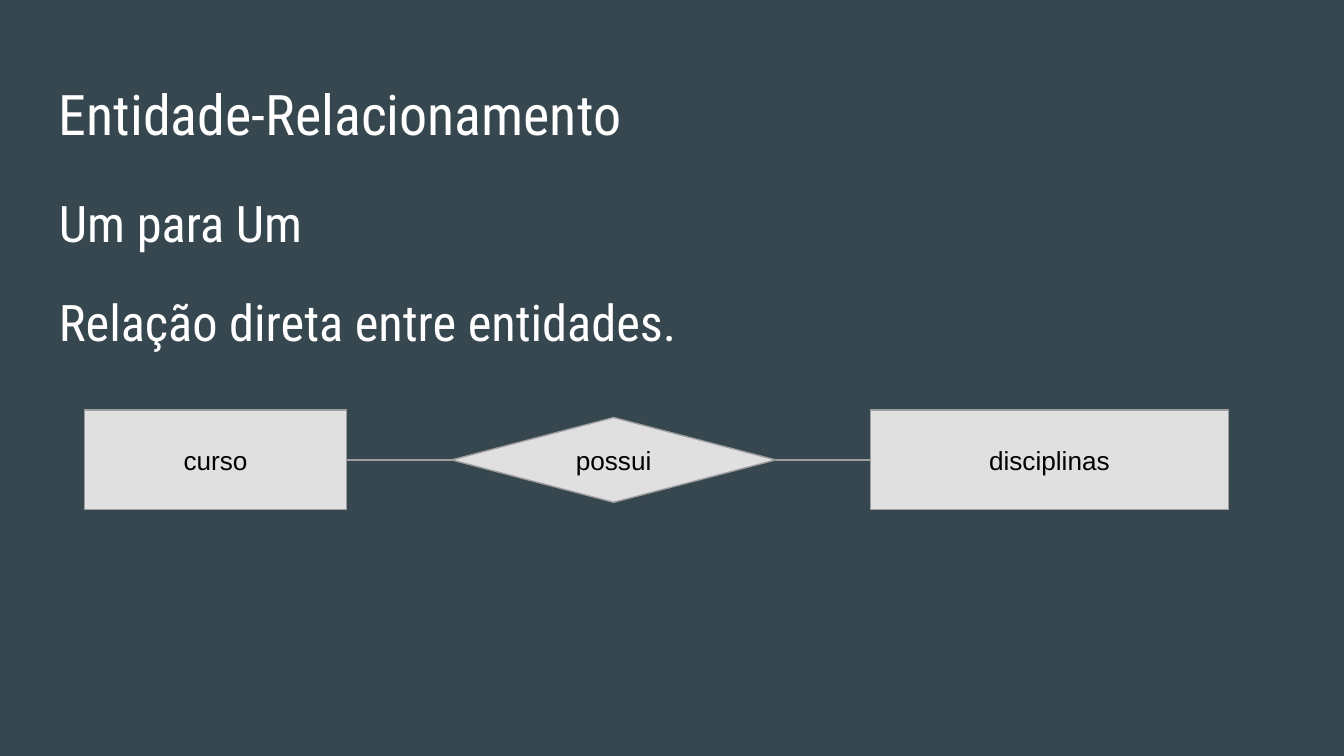
import pptx
import pptx.dml.color
import pptx.enum.shapes
import pptx.enum.text
import pptx.util
from lxml import etree

Pt = pptx.util.Pt
SHAPE = pptx.enum.shapes.MSO_SHAPE
ALIGN = pptx.enum.text.PP_ALIGN
ANCHOR = pptx.enum.text.MSO_ANCHOR

HEADING = {"name": "Roboto Condensed", "size": Pt(30)}
BODY = {"name": "Roboto Condensed", "size": Pt(27)}
LABEL = {"name": "Arial", "size": Pt(14)}
BODY_SPACING = {"line_spacing": 1.15, "space_after": Pt(16)}

CENTER_Y = 246.4
LEFT_SITE, RIGHT_SITE = 1, 3


def rgb(hex_color):
    return pptx.dml.color.RGBColor.from_string(hex_color)


def set_attrs(obj, values):
    for name, value in values.items():
        setattr(obj, name, value)


def write(tf, lines, font, color, paragraph_format):
    inset = Pt(7.2)
    set_attrs(tf, {"word_wrap": True, "margin_left": inset, "margin_right": inset,
                   "margin_top": inset, "margin_bottom": inset})
    for i, line in enumerate(lines):
        p = tf.paragraphs[0] if i == 0 else tf.add_paragraph()
        set_attrs(p, paragraph_format)
        r = p.add_run()
        r.text = line
        set_attrs(r.font, font)
        r.font.color.rgb = rgb(color)


def add_text(s, top, height, lines, font, paragraph_format):
    sp = s.shapes.add_textbox(Pt(24.5), Pt(top), Pt(671), Pt(height))
    write(sp.text_frame, lines, font, "FFFFFF", paragraph_format)


def style_line(line):
    line.color.rgb = rgb("9E9E9E")
    line.width = Pt(0.75)


def add_node(s, kind, left, width, height, label):
    sp = s.shapes.add_shape(kind, Pt(left), Pt(CENTER_Y - height / 2),
                            Pt(width), Pt(height))
    sp.shadow.inherit = False
    sp.fill.solid()
    sp.fill.fore_color.rgb = rgb("E0E0E0")
    style_line(sp.line)
    sp.text_frame.vertical_anchor = ANCHOR.MIDDLE
    write(sp.text_frame, [label], LABEL, "000000", {"alignment": ALIGN.CENTER})
    return sp


def add_link(s, source, target):
    straight = pptx.enum.shapes.MSO_CONNECTOR.STRAIGHT
    link = s.shapes.add_connector(straight, 0, 0, 0, 0)
    link.begin_connect(source, RIGHT_SITE)
    link.end_connect(target, LEFT_SITE)
    style_line(link.line)
    # An empty effect list removes the theme shadow
    etree.SubElement(link.element.spPr, pptx.oxml.ns.qn("a:effectLst"))


def main():
    prs = pptx.Presentation()
    set_attrs(prs, {"slide_width": Pt(720), "slide_height": Pt(405)})
    s = prs.slides.add_slide(prs.slide_layouts[6])
    s.background.fill.solid()
    s.background.fill.fore_color.rgb = rgb("37474F")

    # Heading and body text
    add_text(s, 35.3, 45.4, ["Entidade-Relacionamento"], HEADING, {})
    add_text(s, 90.7, 269.3, ["Um para Um", "Relação direta entre entidades."],
             BODY, BODY_SPACING)

    # Entities and their relationship, left to right
    course = add_node(s, SHAPE.RECTANGLE, 45.2, 140.6, 53.4, "curso")
    relation = add_node(s, SHAPE.FLOWCHART_DECISION, 242, 173.5, 45.4, "possui")
    subjects = add_node(s, SHAPE.RECTANGLE, 466.4, 191.6, 53.4, "disciplinas")
    add_link(s, course, relation)
    add_link(s, relation, subjects)

    prs.save("out.pptx")


if __name__ == "__main__":
    main()
